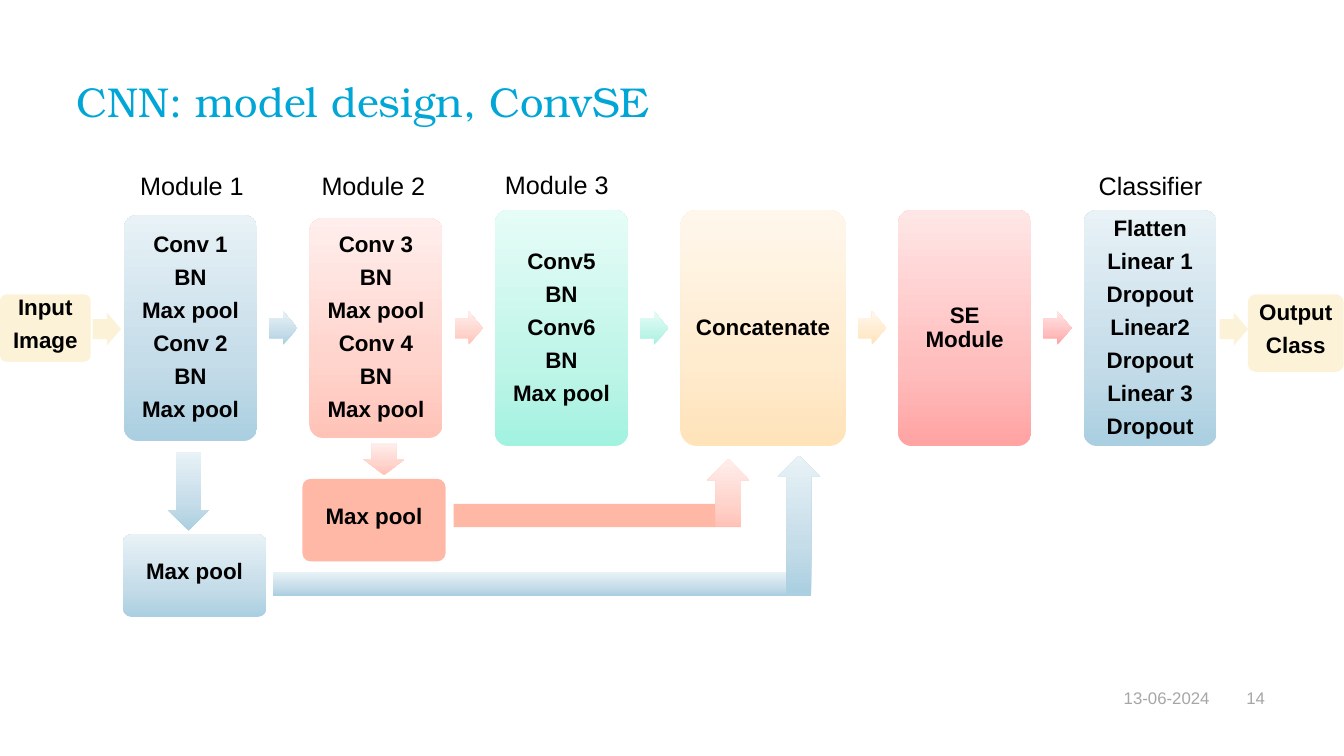
from copy import deepcopy
from dataclasses import dataclass

from pptx import Presentation
from pptx.dml.color import RGBColor
from pptx.enum.shapes import MSO_SHAPE as Preset
from pptx.enum.text import MSO_ANCHOR as Anchor, MSO_AUTO_SIZE as AutoSize, PP_ALIGN as Align
from pptx.oxml.ns import qn
from pptx.util import Inches, Pt


@dataclass(frozen=True)
class Theme:
    body_font: str = "Arial"
    title_font: str = "TeX Gyre Bonum"
    title_size: float = 29.8
    label_size: float = 18
    box_size: float = 16
    footer_size: float = 12
    title_color: str = "00A6D6"
    text_color: str = "000000"
    footer_color: str = "A6A6A6"
    blue: tuple = ("AACFE1", "C5DCE9", "E8F2F7")
    pink: tuple = ("FFC2B7", "FFD4CC", "FFEEEC")
    mint: tuple = ("A2F2E0", "BFF5E8", "E6FCF7")
    orange: tuple = ("FFE3B9", "FFEBCE", "FFF7EC")
    red: tuple = ("FFA3A3", "FFBEBE", "FFE6E6")
    salmon: tuple = ("FFB8A6",)
    cream: tuple = ("FCF2D8",)


THEME = Theme()
CELL = Inches(0.1)
PAGE_COLUMNS, PAGE_ROWS = 133.33, 75
FLOW_ROW = 32.55
FIRST_COLUMN, GAP = 12.3, 5.2
MODULE_WIDTH = 13.2
GRADIENT_STOPS = (0, 0.35, 1)
SMALL_BOX_LIFT = 0.06

CONV_LAYERS = "{}\nBN\nMax pool\n{}\nBN\nMax pool"
MODULES = [
    (CONV_LAYERS.format("Conv 1", "Conv 2"), MODULE_WIDTH, 22.4, THEME.blue),
    (CONV_LAYERS.format("Conv 3", "Conv 4"), MODULE_WIDTH, 21.8, THEME.pink),
    ("Conv5\nBN\nConv6\nBN\nMax pool", MODULE_WIDTH, 23.4, THEME.mint),
    ("Concatenate", 16.4, 23.4, THEME.orange),
    ("SE Module", MODULE_WIDTH, 23.4, THEME.red),
    ("Flatten\nLinear 1\nDropout\nLinear2\nDropout\nLinear 3\nDropout",
     MODULE_WIDTH, 23.4, THEME.blue),
]
SMALL_BOXES = [
    ("Max pool", 12.2, 53, 14.2, 8.2, THEME.blue),
    ("Max pool", 30, 47.5, 14.2, 8.2, THEME.salmon),
    ("Input\nImage", 0, 29.2, 9, 6.7, THEME.cream),
    ("Output\nClass", 123.8, 29.2, 9.5, 7.7, THEME.cream),
]
LABELS = [
    ("Module 1", 13.4, 16.4),
    ("Module 2", 31.4, 16.4),
    ("Module 3", 49.6, 16.3),
    ("Classifier", 108.5, 16.4),
]


def cells(*counts):
    return [round(CELL * count) for count in counts]


def paint(shape, colors):
    shape.shadow.inherit = False
    shape.line.fill.background()
    if len(colors) == 1:
        shape.fill.solid()
        shape.fill.fore_color.rgb = RGBColor.from_string(colors[0])
        return
    shape.fill.gradient()
    shape.fill.gradient_angle = 90
    gradient = shape._element.spPr.find(qn("a:gradFill"))
    gradient.set("rotWithShape", "0")
    stop_list = gradient.find(qn("a:gsLst"))
    stop_list.insert(1, deepcopy(stop_list[0]))
    for stop, color, position in zip(shape.fill.gradient_stops, colors, GRADIENT_STOPS):
        stop.color.rgb = RGBColor.from_string(color)
        stop.position = position


def set_insets(frame, inset, lift=0):
    frame.margin_left = frame.margin_right = frame.margin_top = Inches(inset)
    frame.margin_bottom = Inches(inset + lift)


def style(para, size, color, font=THEME.body_font, align=Align.LEFT, bold=False):
    para.alignment = align
    para.font.name = font
    para.font.size = Pt(size)
    para.font.bold = bold
    para.font.color.rgb = RGBColor.from_string(color)


def add_box(page, text, left, top, width, height, colors, lift=0):
    box = page.shapes.add_shape(Preset.ROUNDED_RECTANGLE, *cells(left, top, width, height))
    box.adjustments[0] = 0.1
    paint(box, colors)
    frame = box.text_frame
    frame.text = text
    frame.word_wrap = True
    frame.vertical_anchor = Anchor.MIDDLE
    set_insets(frame, 0.07, lift)
    for para in frame.paragraphs:
        style(para, THEME.box_size, THEME.text_color, align=Align.CENTER, bold=True)
        para.line_spacing = 0.9
        para.space_after = Pt(6.3)


def add_arrow(page, center_x, center_y, length, breadth, colors, rotation=0):
    arrow = page.shapes.add_shape(Preset.RIGHT_ARROW, *cells(
        center_x - length / 2, center_y - breadth / 2, length, breadth))
    arrow.adjustments[0] = 0.6
    arrow.adjustments[1] = 0.5
    arrow.rotation = rotation
    paint(arrow, colors)


def add_bar(page, left, top, width, colors):
    bar = page.shapes.add_shape(Preset.RECTANGLE, *cells(left, top, width, 2.3))
    paint(bar, colors)


def add_text(page, text, left, top, width, height, size, color,
             inset=0, align=Align.LEFT, anchor=Anchor.TOP):
    frame = page.shapes.add_textbox(*cells(left, top, width, height)).text_frame
    frame.text = text
    frame.word_wrap = True
    frame.vertical_anchor = anchor
    set_insets(frame, inset)
    style(frame.paragraphs[0], size, color, align=align)


def set_title(page, text):
    title = page.shapes.title
    title.left, title.top, title.width, title.height = cells(7.6, 8.1, 118.1, 5.4)
    frame = title.text_frame
    frame.text = text
    frame.auto_size = AutoSize.NONE
    frame.vertical_anchor = Anchor.TOP
    set_insets(frame, 0)
    para = frame.paragraphs[0]
    style(para, THEME.title_size, THEME.title_color, THEME.title_font)
    para.line_spacing = 0.9


def add_modules(page):
    left = FIRST_COLUMN
    for number, (text, width, height, colors) in enumerate(MODULES, 1):
        add_box(page, text, left, FLOW_ROW - height / 2, width, height, colors)
        if number < len(MODULES):
            add_arrow(page, left + width + GAP / 2, FLOW_ROW, 2.8, 3.3, colors)
        left += width + GAP


def add_skip_paths(page):
    add_arrow(page, 18.7, 48.75, 7.8, 4.1, THEME.blue, 90)
    add_arrow(page, 38.1, 45.55, 3.2, 4.1, THEME.pink, 90)
    add_bar(page, 27.1, 56.8, 53.4, THEME.blue)
    add_bar(page, 45, 50, 28.5, THEME.salmon)
    add_arrow(page, 72.25, 48.9, 6.7, 4.2, THEME.pink, 270)
    add_arrow(page, 79.25, 52.05, 13.7, 4.1, THEME.blue, 270)


def add_footer(page):
    for text, left, width in (("13-06-2024", 107.1, 12.9), ("14", 122.5, 3)):
        add_text(page, text, left, 68.25, width, 2, THEME.footer_size,
                 THEME.footer_color, align=Align.RIGHT, anchor=Anchor.MIDDLE)


def main():
    deck = Presentation()
    deck.slide_width, deck.slide_height = cells(PAGE_COLUMNS, PAGE_ROWS)
    page = deck.slides.add_slide(deck.slide_layouts[5])
    set_title(page, "CNN: model design, ConvSE")
    add_modules(page)
    add_skip_paths(page)
    for small_box in SMALL_BOXES:
        add_box(page, *small_box, lift=SMALL_BOX_LIFT)
    for center_x in (10.6, 122.4):
        add_arrow(page, center_x, 32.65, 2.8, 3.3, THEME.cream)
    for text, left, top in LABELS:
        add_text(page, text, left, top, 12.6, 4, THEME.label_size, THEME.text_color, inset=0.05)
    add_footer(page)
    deck.save("out.pptx")


if __name__ == "__main__":
    main()
